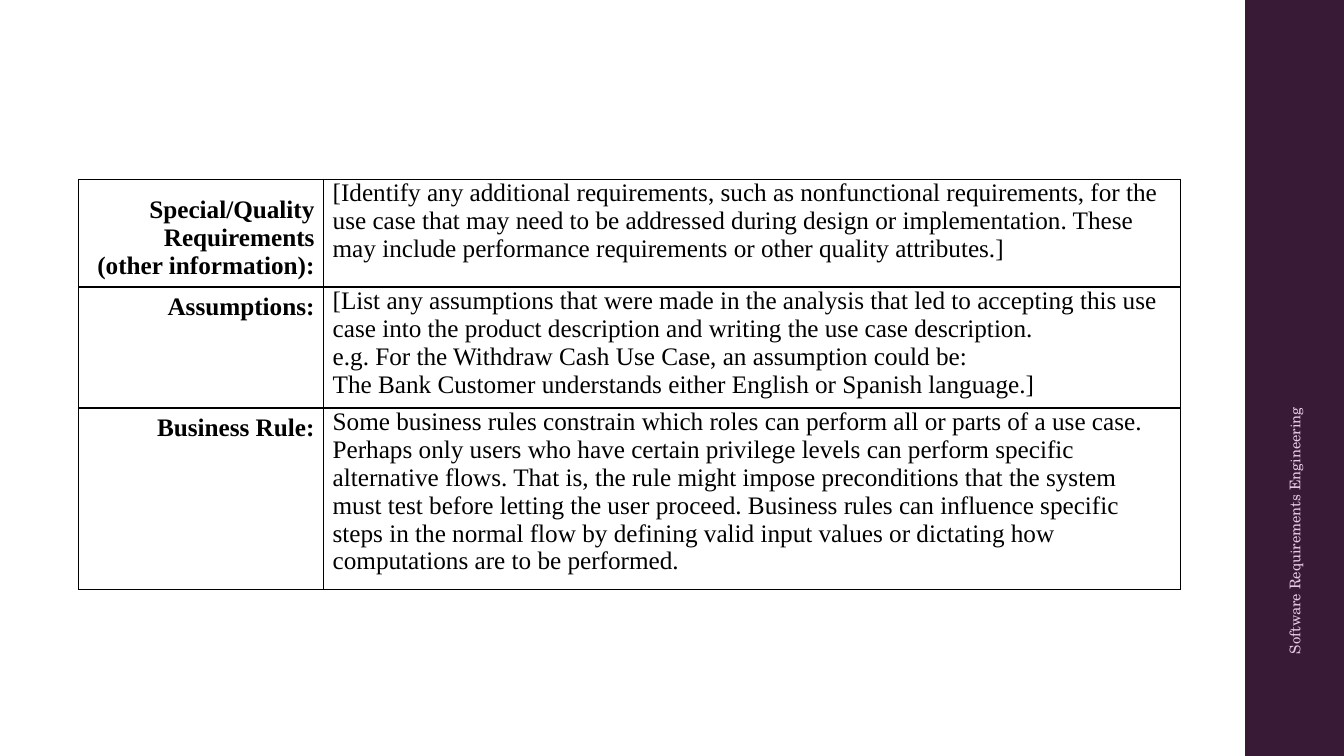
from dataclasses import dataclass
from lxml.etree import SubElement
from pptx import Presentation
from pptx.dml.color import RGBColor
from pptx.enum.shapes import MSO_SHAPE
from pptx.enum.text import MSO_ANCHOR, PP_ALIGN
from pptx.oxml.ns import qn
from pptx.util import Inches, Pt


@dataclass(frozen=True)
class Theme:
    ink: str = "000000"
    band: str = "381A37"
    pale: str = "E6C8E5"
    body: str = "Times New Roman"
    side: str = "TeX Gyre Schola"
    size: float = 18
    small: float = 10.5
    lead: float = 12
    rule: float = 1


THEME = Theme()
WIDE, HIGH = 13.33, 7.5
LINE = 0.277
GAP = THEME.lead / 72
COLS = (2.43, 8.5)
ROWS = [
    (["Special/Quality Requirements", "(other information):"], None, 3 * LINE + GAP,
     [["[Identify any additional requirements, such as nonfunctional requirements, for the "
       "use case that may need to be addressed during design or implementation. These may "
       "include performance requirements or other quality attributes.]"]]),
    (["Assumptions:"], THEME.lead, 4 * LINE,
     [["[List any assumptions that were made in the analysis that led to accepting this use "
       "case into the product description and writing the use case description."],
      ["e.g. For the Withdraw Cash Use Case, an assumption could be:",
       "The Bank Customer understands either English or Spanish language.]"]]),
    (["Business Rule:"], THEME.lead, 6 * LINE,
     [["Some business rules constrain which roles can perform all or parts of a use case. "
       "Perhaps only users who have certain privilege levels can perform specific "
       "alternative flows. That is, the rule might impose preconditions that the system "
       "must test before letting the user proceed. Business rules can influence specific "
       "steps in the normal flow by defining valid input values or dictating how "
       "computations are to be performed."]]),
]


def add_run(para, text, face, size, color, bold=False):
    run = para.add_run()
    run.text = text
    font = run.font
    font.name, font.size, font.bold = face, Pt(size), bold
    font.color.rgb = RGBColor.from_string(color)


def frame_cell(cell):
    props = cell._tc.get_or_add_tcPr()
    for side in ("lnL", "lnR", "lnT", "lnB"):
        line = SubElement(props, qn(f"a:{side}"), w=str(Pt(THEME.rule)))
        fill = SubElement(line, qn("a:solidFill"))
        SubElement(fill, qn("a:srgbClr"), val=THEME.ink)
    cell.fill.background()


def fill_cell(cell, paras, top=0, align=PP_ALIGN.LEFT, lead=None, bold=False):
    frame_cell(cell)
    cell.margin_left = cell.margin_right = Inches(0.09)
    cell.margin_top, cell.margin_bottom = Inches(top), 0
    frame = cell.text_frame
    for index, lines in enumerate(paras):
        para = frame.add_paragraph() if index else frame.paragraphs[0]
        para.alignment = align
        if lead:
            para.line_spacing = Pt(lead)
        for order, text in enumerate(lines):
            if order:
                para.add_line_break()
            add_run(para, text, THEME.body, THEME.size, THEME.ink, bold)


def draw_table(slide, left, top):
    high = sum(row[2] for row in ROWS)
    box = map(Inches, (left, top, sum(COLS), high))
    table = slide.shapes.add_table(len(ROWS), len(COLS), *box).table
    table.first_row = table.horz_banding = False
    for col, wide in zip(table.columns, COLS):
        col.width = Inches(wide)
    for row, (label, lead, tall, notes) in zip(table.rows, ROWS):
        row.height = Inches(tall)
        name, note = row.cells
        fill_cell(name, [[text] for text in label], GAP, PP_ALIGN.RIGHT, lead, True)
        fill_cell(note, notes)


def draw_band(slide, left, top, wide, high):
    box = map(Inches, (left, top, wide, high))
    band = slide.shapes.add_shape(MSO_SHAPE.RECTANGLE, *box)
    band.shadow.inherit = False
    band.fill.solid()
    band.fill.fore_color.rgb = RGBColor.from_string(THEME.band)
    band.line.fill.background()
    span, deep = 3.92, 0.4
    mid_x, mid_y = left + wide / 2, top + high * 0.617
    box = map(Inches, (mid_x - span / 2, mid_y - deep / 2, span, deep))
    label = slide.shapes.add_textbox(*box)
    label.rotation = 270
    frame = label.text_frame
    frame.word_wrap = True
    frame.vertical_anchor = MSO_ANCHOR.MIDDLE
    add_run(frame.paragraphs[0], "Software Requirements Engineering",
            THEME.side, THEME.small, THEME.pale)


def main():
    deck = Presentation()
    deck.slide_width, deck.slide_height = Inches(WIDE), Inches(HIGH)
    slide = deck.slides.add_slide(deck.slide_layouts[6])
    draw_band(slide, WIDE - 0.98, 0, 0.98, HIGH)
    draw_table(slide, 0.78, 1.78)
    deck.save("out.pptx")


if __name__ == "__main__":
    main()
